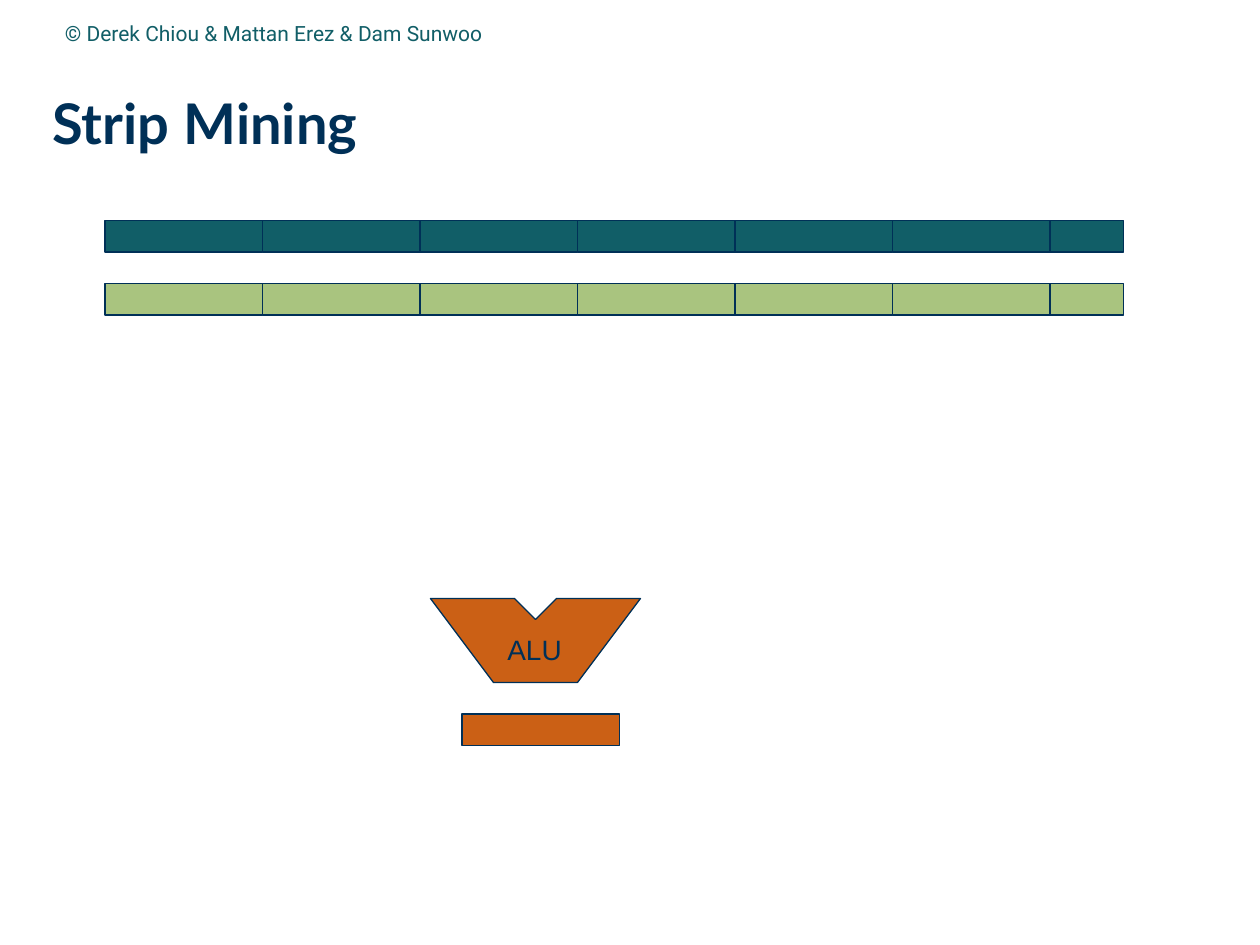
import pptx
import pptx.dml.color
import pptx.enum.shapes
import pptx.enum.text
import pptx.util

NAVY = pptx.dml.color.RGBColor(0x00, 0x30, 0x57)
TEAL = pptx.dml.color.RGBColor(0x11, 0x5E, 0x67)
GREEN = pptx.dml.color.RGBColor(0xA9, 0xC4, 0x7F)
ORANGE = pptx.dml.color.RGBColor(0xCB, 0x60, 0x15)

COLUMNS, ROWS = 120, 90
UNIT = pptx.util.Inches(10) // COLUMNS
STRIP_WIDTH, REMAINDER_WIDTH, STRIP_HEIGHT = 15, 7, 3
FULL_STRIPS = 6
ALU_OUTLINE = [(51, 59), (49, 57), (41, 57), (47, 65), (55, 65), (61, 57), (53, 57)]


def write_text(frame, text, font="Arial", size=16, color=NAVY, bold=False,
               spacing=None, margin=None, wrap=True,
               anchor=pptx.enum.text.MSO_ANCHOR.TOP,
               fit=pptx.enum.text.MSO_AUTO_SIZE.NONE):
    """Fill a text frame with one left-aligned, formatted paragraph."""
    frame.word_wrap = wrap
    frame.auto_size = fit
    frame.vertical_anchor = anchor
    if margin is not None:
        frame.margin_left = frame.margin_right = margin
        frame.margin_top = frame.margin_bottom = margin
    para = frame.paragraphs[0]
    para.alignment = pptx.enum.text.PP_ALIGN.LEFT
    para.line_spacing = spacing
    span = para.add_run()
    span.text = text
    span.font.name = font
    span.font.size = pptx.util.Pt(size)
    span.font.bold = bold
    span.font.color.rgb = color


class Page:
    """A slide measured in grid columns and rows, with its outline style."""

    def __init__(self, deck, line_color=NAVY, line_width=0.75):
        self.slide = deck.slides.add_slide(deck.slide_layouts[5])
        self.line_color = line_color
        self.line_width = pptx.util.Pt(line_width)

    def place(self, *lengths):
        return [round(length * UNIT) for length in lengths]

    def paint(self, shape, fill):
        shape.shadow.inherit = False
        shape.fill.solid()
        shape.fill.fore_color.rgb = fill
        shape.line.color.rgb = self.line_color
        shape.line.width = self.line_width

    def title(self, text, left, top, width, height, **style):
        box = self.slide.shapes.title
        box.left, box.top, box.width, box.height = self.place(left, top, width, height)
        write_text(box.text_frame, text, **style)

    def label(self, text, left, top, width, height, **style):
        box = self.slide.shapes.add_textbox(*self.place(left, top, width, height))
        write_text(box.text_frame, text, **style)

    def strip(self, left, top, width, fill):
        box = self.slide.shapes.add_shape(
            pptx.enum.shapes.MSO_SHAPE.RECTANGLE,
            *self.place(left, top, width, STRIP_HEIGHT))
        self.paint(box, fill)

    def vector(self, left, top, fill):
        widths = [STRIP_WIDTH] * FULL_STRIPS + [REMAINDER_WIDTH]
        for index, width in enumerate(widths):
            self.strip(left + index * STRIP_WIDTH, top, width, fill)

    def outline(self, points, fill):
        builder = self.slide.shapes.build_freeform(*points[0], scale=UNIT)
        builder.add_line_segments(points[1:], close=True)
        self.paint(builder.convert_to_shape(), fill)


def main():
    deck = pptx.Presentation()
    deck.slide_width, deck.slide_height = COLUMNS * UNIT, ROWS * UNIT
    page = Page(deck)
    middle = pptx.enum.text.MSO_ANCHOR.MIDDLE

    page.title("Strip Mining", 5, 6, 113, 11.75, font="Lato", size=32,
               bold=True, spacing=0.99, margin=0, anchor=middle)
    page.label("© Derek Chiou & Mattan Erez & Dam Sunwoo", 5, 0.4, 68, 5.5,
               font="Roboto", size=12, color=TEAL, anchor=middle)
    page.vector(10, 21, TEAL)
    page.vector(10, 27, GREEN)
    page.outline(ALU_OUTLINE, ORANGE)
    page.label("ALU", 47.15, 59.65, 7.7, 4.45, wrap=False,
               fit=pptx.enum.text.MSO_AUTO_SIZE.SHAPE_TO_FIT_TEXT)
    page.strip(44, 68, STRIP_WIDTH, ORANGE)
    deck.save("out.pptx")


if __name__ == "__main__":
    main()
